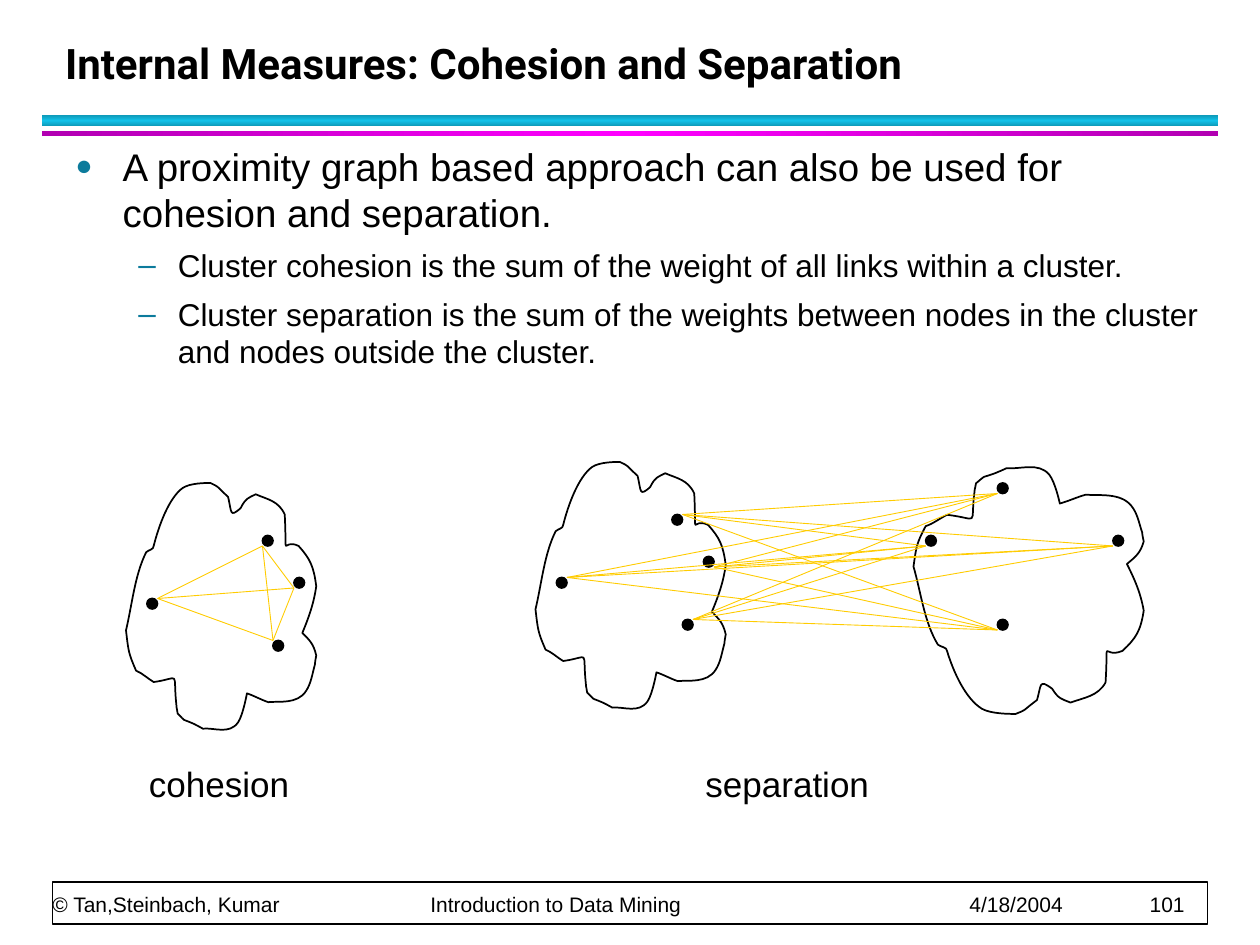
from copy import deepcopy
from itertools import combinations, product

from lxml import etree
from pptx import Presentation
from pptx.dml.color import RGBColor
from pptx.enum.shapes import MSO_CONNECTOR, MSO_SHAPE
from pptx.enum.text import MSO_ANCHOR, PP_ALIGN
from pptx.oxml.ns import qn
from pptx.util import Pt

RECTANGLE, OVAL = MSO_SHAPE.RECTANGLE, MSO_SHAPE.OVAL
STRAIGHT = MSO_CONNECTOR.STRAIGHT
TOP, BOTTOM, LEFT = MSO_ANCHOR.TOP, MSO_ANCHOR.BOTTOM, PP_ALIGN.LEFT

BLACK, WHITE, TEAL, GOLD = "000000", "FFFFFF", "0C7B9C", "FFCC00"
DOT = 6

# Cluster outline in hundredths of an inch: a start, then three points per curve
OUTLINE_UNIT = 0.72
OUTLINE_HEIGHT = 200
OUTLINE = [
    (16, 55),
    (7, 73), (5, 96), (0, 117), (2, 134), (2, 135), (8, 149),
    (13, 151), (17, 155), (22, 158), (44, 155), (37, 148), (40, 176),
    (40, 179), (41, 181), (41, 183), (48, 190), (44, 187), (51, 190),
    (54, 191), (61, 195), (61, 195), (70, 194), (82, 200), (89, 190),
    (93, 184), (96, 167), (96, 167), (102, 169), (107, 172), (113, 174),
    (121, 173), (136, 176), (143, 165), (147, 159), (148, 151), (150, 144),
    (150, 142), (151, 137), (151, 137), (149, 128), (146, 125), (140, 119),
    (145, 107), (149, 96), (151, 82), (149, 66), (146, 60), (137, 50),
    (123, 43), (128, 65), (126, 25), (121, 14), (112, 13), (103, 9),
    (97, 12), (95, 12), (91, 20), (82, 28), (84, 23), (81, 11),
    (70, 1), (75, 4), (67, 0), (63, 0), (51, 0), (45, 4),
    (34, 12), (26, 34), (22, 50), (22, 53), (18, 53), (16, 55),
]

# Node corners relative to the cluster's top left, in points
NODES = [(84, 90), (78, 30), (12, 66), (96, 54)]
FLIPPED_NODES = [(114, 42), (7, 42), (48, 90), (48, 12)]

# Where the links touch each node, relative to the node's corner
COHESION_ANCHORS = [(0, 0), (0, DOT), (DOT, 0), (0, DOT)]
SOURCE_ANCHORS = [(DOT, 0), (DOT, 0), (DOT, 0), (DOT, DOT)]
TARGET_ANCHORS = [(0, DOT)] * 4


def rgb(color):
    return RGBColor.from_string(color)


def shifted(points, offsets):
    return [(x + dx, y + dy) for (x, y), (dx, dy) in zip(points, offsets)]


class SlideBuilder:
    def __init__(self, slide, font="Arial", color=BLACK):
        self.slide, self.shapes = slide, slide.shapes
        self.font, self.color = font, color

    def frame(self, shape, anchor=TOP, wrap=True, inset=(7.2, 3.6)):
        frame = shape.text_frame
        frame.word_wrap, frame.vertical_anchor = wrap, anchor
        frame.margin_left = frame.margin_right = Pt(inset[0])
        frame.margin_top = frame.margin_bottom = Pt(inset[1])
        return frame

    def run(self, paragraph, text, size, font=None, bold=False):
        run = paragraph.add_run()
        run.text = text
        run.font.name, run.font.size = font or self.font, Pt(size)
        run.font.bold, run.font.color.rgb = bold, rgb(self.color)

    def text_box(self, x, y, w, h, **frame_style):
        box = self.shapes.add_textbox(Pt(x), Pt(y), Pt(w), Pt(h))
        return self.frame(box, **frame_style)

    def title(self, text, x, y, w, h):
        title = self.shapes.title
        title.left, title.top, title.width, title.height = map(Pt, (x, y, w, h))
        paragraph = self.frame(title, BOTTOM).paragraphs[0]
        paragraph.alignment, paragraph.line_spacing = LEFT, Pt(36)
        self.run(paragraph, text, 24, "Roboto", True)

    def bullet(self, paragraph, text, size, mark, mark_percent, margin, hanging, level):
        properties = paragraph._p.get_or_add_pPr()
        properties.set("marL", str(Pt(margin)))
        properties.set("indent", str(-Pt(hanging)))
        mark_color = etree.SubElement(properties, qn("a:buClr"))
        etree.SubElement(mark_color, qn("a:srgbClr"), val=TEAL)
        etree.SubElement(properties, qn("a:buSzPct"), val=str(mark_percent * 1000))
        etree.SubElement(properties, qn("a:buFont"), typeface=self.font)
        etree.SubElement(properties, qn("a:buChar"), char=mark)
        paragraph.level, paragraph.space_after = level, Pt(4)
        if level:
            paragraph.space_before = Pt(2.2)
        self.run(paragraph, text, size)

    def tabbed_line(self, paragraph, texts, stops, size):
        tabs = etree.SubElement(paragraph._p.get_or_add_pPr(), qn("a:tabLst"))
        for stop in stops:
            etree.SubElement(tabs, qn("a:tab"), pos=str(Pt(stop)), algn="l")
        paragraph.line_spacing = Pt(20)
        self.run(paragraph, "\t".join(texts), size)

    def shape(self, kind, x, y, w, h, fill=None, line=None):
        shape = self.shapes.add_shape(kind, Pt(x), Pt(y), Pt(w), Pt(h))
        return self.paint(shape, fill, line)

    def paint(self, shape, fill, line):
        shape.shadow.inherit = False
        if fill:
            shape.fill.solid()
            shape.fill.fore_color.rgb = rgb(fill)
        else:
            shape.fill.background()
        if line:
            shape.line.color.rgb, shape.line.width = rgb(line), Pt(1)
        else:
            shape.line.fill.background()
        return shape

    def glowing_bar(self, x, y, w, h, edge, middle, angle):
        """Draw a bar whose gradient runs from edge to middle and back."""
        bar = self.shape(RECTANGLE, x, y, w, h)
        bar.fill.gradient()
        bar.fill.gradient_angle = angle
        stop_list = bar._element.spPr.find(".//" + qn("a:gsLst"))
        stop_list.append(deepcopy(stop_list[0]))
        colors = (edge, middle, edge)
        for stop, color, position in zip(bar.fill.gradient_stops, colors, (0, 0.5, 1)):
            stop.color.rgb, stop.position = rgb(color), position

    def cluster(self, left, top, nodes, stretch=1, flipped=False):
        """Draw an outline with its nodes; return the node corners on the slide."""
        points = [
            (Pt(left + x * OUTLINE_UNIT * stretch),
             Pt(top + (OUTLINE_HEIGHT - y if flipped else y) * OUTLINE_UNIT))
            for x, y in OUTLINE
        ]
        builder = self.shapes.build_freeform(*points[0], scale=1.0)
        builder.add_line_segments(points[1:], close=True)
        outline = self.paint(builder.convert_to_shape(), None, BLACK)
        segments = outline._element.spPr.findall(".//" + qn("a:lnTo"))
        for curve, *others in zip(segments[::3], segments[1::3], segments[2::3]):
            curve.tag = qn("a:cubicBezTo")
            for other in others:
                curve.append(other[0])
                other.getparent().remove(other)
        corners = [(left + x, top + y) for x, y in nodes]
        for x, y in corners:
            self.shape(OVAL, x, y, DOT, DOT, BLACK, BLACK)
        return corners

    def links(self, pairs):
        for start, end in pairs:
            link = self.shapes.add_connector(STRAIGHT, *map(Pt, (*start, *end)))
            link.line.color.rgb, link.line.width = rgb(GOLD), Pt(0.5)
            etree.SubElement(link._element.spPr, qn("a:effectLst"))


def main():
    deck = Presentation()
    deck.slide_width, deck.slide_height = Pt(720), Pt(540)
    page = SlideBuilder(deck.slides.add_slide(deck.slide_layouts[5]))

    page.glowing_bar(24, 66, 672, 6, "0E9BBA", "12C2E9", 90)
    page.glowing_bar(24, 75, 672, 3, "B200B2", "FF00FF", 0)
    page.title("Internal Measures: Cohesion and Separation", 30, 12, 652, 42)

    page.shape(RECTANGLE, 30, 504, 660, 24, WHITE, BLACK)
    footer = page.text_box(30, 484, 659, 40, anchor=BOTTOM, inset=(0, 0))
    page.tabbed_line(
        footer.paragraphs[0],
        ["© Tan,Steinbach, Kumar", "Introduction to Data Mining", "4/18/2004", "101"],
        [216, 524, 627], 12)

    main_point = (22, "●", 75, 27, 27, 0)
    sub_point = (18, "–", 100, 58.5, 22.5, 1)
    body = page.text_box(36, 78, 666, 180)
    for index, (text, style) in enumerate([
        ("A proximity graph based approach can also be used for cohesion and separation.",
         main_point),
        ("Cluster cohesion is the sum of the weight of all links within a cluster.",
         sub_point),
        ("Cluster separation is the sum of the weights between nodes in the cluster "
         "and nodes outside the cluster.", sub_point),
    ]):
        paragraph = body.add_paragraph() if index else body.paragraphs[0]
        page.bullet(paragraph, text, *style)

    source = page.cluster(306, 264, NODES)
    target = page.cluster(522, 264, FLIPPED_NODES, stretch=1.21, flipped=True)
    page.links(product(shifted(source, SOURCE_ANCHORS), shifted(target, TARGET_ANCHORS)))

    cohesive = page.cluster(72, 276, NODES)
    page.links(combinations(shifted(cohesive, COHESION_ANCHORS), 2))

    for caption, left, width in (("cohesion", 78, 98), ("separation", 396, 112)):
        label = page.text_box(left, 432, width, 32, wrap=False)
        label.paragraphs[0].alignment = LEFT
        page.run(label.paragraphs[0], caption, 20)

    deck.save("out.pptx")


if __name__ == "__main__":
    main()
